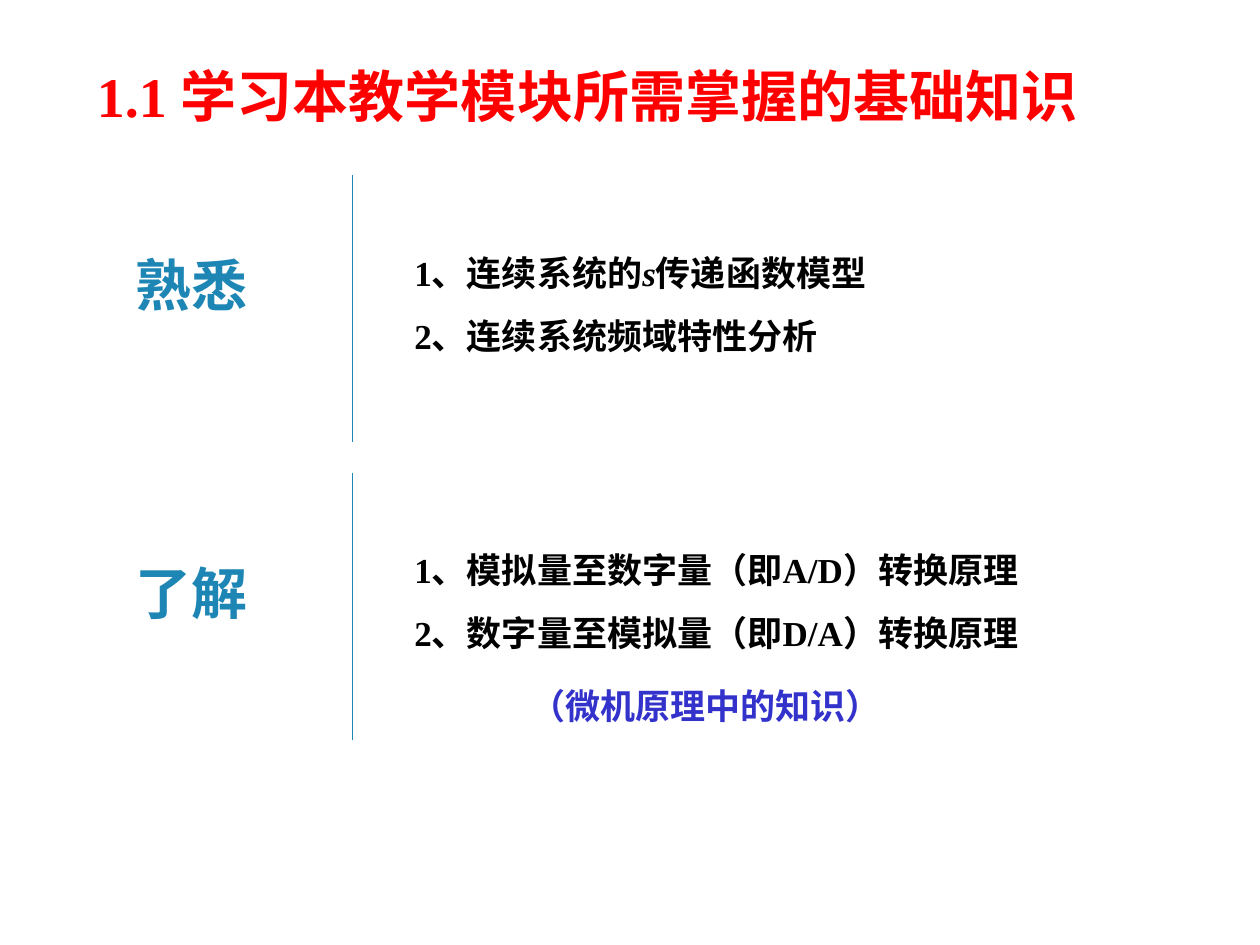
from pptx import Presentation
from pptx.dml.color import RGBColor
from pptx.enum.shapes import MSO_CONNECTOR
from pptx.util import Inches, Pt
from lxml import etree

SERIF = "Times New Roman"
BLUE = "1E86B4"


def rgb(value):
    return RGBColor.from_string(value)


def add_text(left, top, width, height, lines, size, font, color, spacing=None):
    """Add a bold text box; each line is a list of (text, italic) runs."""
    box = slide.shapes.add_textbox(Inches(left), Inches(top), Inches(width), Inches(height))
    frame = box.text_frame
    frame.word_wrap = True
    for i, runs in enumerate(lines):
        paragraph = frame.paragraphs[0] if i == 0 else frame.add_paragraph()
        paragraph.line_spacing = spacing
        paragraph.font.size = Pt(size)
        paragraph.font.name = font
        paragraph.font.bold = True
        paragraph.font.color.rgb = rgb(color)
        for text, italic in runs:
            run = paragraph.add_run()
            run.text = text
            if italic:
                run.font.italic = True


prs = Presentation()
prs.slide_width = Inches(10)
prs.slide_height = Inches(7.5)
slide = prs.slides.add_slide(prs.slide_layouts[6])

# Title
add_text(0.67, 0.44, 8.58, 0.64, [[("1.1 学习本教学模块所需掌握的基础知识", False)]],
         32, SERIF, "FF0000")

# Sections: heading, heading top, divider top, topics top, topics
sections = [
    ("熟悉", 1.94, 1.39, 1.78, [
        [("1、连续系统的", False), ("s", True), ("传递函数模型", False)],
        [("2、连续系统频域特性分析", False)],
    ]),
    ("了解", 4.38, 3.75, 4.14, [
        [("1、模拟量至数字量（即A/D）转换原理", False)],
        [("2、数字量至模拟量（即D/A）转换原理", False)],
    ]),
]
for heading, heading_top, divider_top, topics_top, topics in sections:
    add_text(0.98, heading_top, 3.35, 0.64, [[(heading, False)]], 32, "Arial", BLUE)

    divider = slide.shapes.add_connector(
        MSO_CONNECTOR.STRAIGHT, Inches(2.8), Inches(divider_top),
        Inches(2.8), Inches(divider_top + 2.12))
    divider.line.color.rgb = rgb(BLUE)
    divider.line.width = Pt(0.75)
    etree.SubElement(divider._element.spPr,
                     "{http://schemas.openxmlformats.org/drawingml/2006/main}effectLst")

    add_text(3.19, topics_top, 5.91, 1.1, topics, 20, SERIF, "000000", 1.5)

# Closing remark
add_text(4.11, 5.38, 4.04, 0.44, [[("（微机原理中的知识）", False)]], 20, SERIF, "3333CC")

prs.save("out.pptx")
